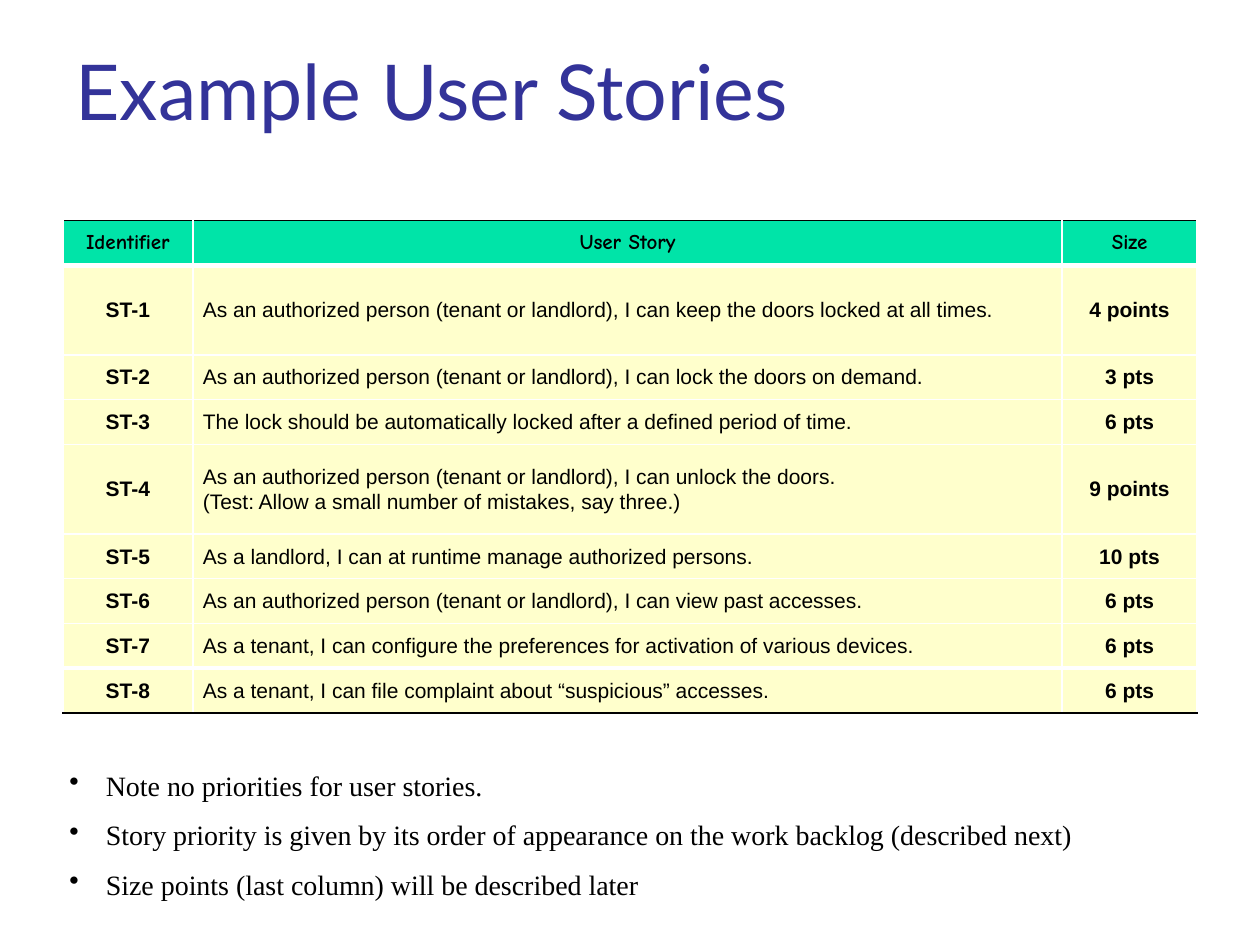
import dataclasses

import lxml.etree
import pptx
import pptx.dml.color
import pptx.enum.text
import pptx.oxml.ns
import pptx.util

Inches = pptx.util.Inches
Pt = pptx.util.Pt
Align = pptx.enum.text.PP_ALIGN
Anchor = pptx.enum.text.MSO_ANCHOR


@dataclasses.dataclass(frozen=True)
class Theme:
    """Colours, fonts and type sizes of the slide."""
    title_color: str = "333399"
    ink: str = "000000"
    rule: str = "FFFFFF"
    header_fill: str = "00E4A8"
    body_fill: str = "FFFFCC"
    title_font: str = "Lato"
    header_font: str = "Comic Neue"
    body_font: str = "Arial"
    remark_font: str = "Times New Roman"
    title_size: int = 44
    remark_size: int = 16
    table_size: int = 12


THEME = Theme()
HEADER = ("Identifier", "User Story", "Size")
STORIES = (
    ("As an authorized person (tenant or landlord), I can keep the doors locked at all times.", "4 points"),
    ("As an authorized person (tenant or landlord), I can lock the doors on demand.", "3 pts"),
    ("The lock should be automatically locked after a defined period of time.", "6 pts"),
    ("As an authorized person (tenant or landlord), I can unlock the doors.\n"
     "(Test: Allow a small number of mistakes, say three.)", "9 points"),
    ("As a landlord, I can at runtime manage authorized persons.", "10 pts"),
    ("As an authorized person (tenant or landlord), I can view past accesses.", "6 pts"),
    ("As a tenant, I can configure the preferences for activation of various devices.", "6 pts"),
    ("As a tenant, I can file complaint about “suspicious” accesses.", "6 pts"),
)
TALL_ROWS = (1, 4)
COLUMN_WIDTHS = (1.03, 6.9, 1.07)
REMARKS = (
    "Note no priorities for user stories.",
    "Story priority is given by its order of appearance on the work backlog (described next)",
    "Size points (last column) will be described later",
)


def apply_format(target, values):
    """Set each named attribute on the target."""
    for name, value in values.items():
        setattr(target, name, value)


def write_text(paragraph, text, color, paragraph_format=None, **font_format):
    """Write text into a paragraph and format it."""
    paragraph.text = text
    apply_format(paragraph, paragraph_format or {})
    for run in paragraph.runs:
        apply_format(run.font, font_format)
        run.font.color.rgb = pptx.dml.color.RGBColor.from_string(color)


def add_element(parent, tag, **attributes):
    """Append a drawing element to its parent."""
    return lxml.etree.SubElement(parent, pptx.oxml.ns.qn(tag), attributes)


def add_border(cell, side, color, width):
    """Draw one border of a table cell."""
    properties = cell._tc.get_or_add_tcPr()
    line = add_element(properties, f"a:ln{side}", w=str(Pt(width)))
    add_element(add_element(line, "a:solidFill"), "a:srgbClr", val=color)


def add_title(slide, left, top, width, height):
    """Place the slide title in the given box."""
    frame = slide.shapes.add_textbox(left, top, width, height).text_frame
    frame.word_wrap = True
    write_text(frame.paragraphs[0], "Example User Stories", THEME.title_color,
               name=THEME.title_font, size=Pt(THEME.title_size))


def horizontal_rule(index, row_count):
    """Return colour and width of the rule above the row of that index."""
    if index in (0, row_count):
        return THEME.ink, 1
    return THEME.rule, 3 if index in (1, row_count - 1) else 1


def format_cell(cell, text, row, column, row_count):
    """Fill, border and write one cell of the story table."""
    is_header = row == 0
    is_story = column == 1 and not is_header
    margin = Inches(0.02 if is_header and column == 0 else 0.08)
    apply_format(cell, {
        "margin_left": margin, "margin_right": margin,
        "margin_top": 0, "margin_bottom": 0,
        "vertical_anchor": Anchor.MIDDLE,
    })
    borders = {
        "L": (THEME.rule, 1),
        "R": (THEME.rule, 1),
        "T": horizontal_rule(row, row_count),
        "B": horizontal_rule(row + 1, row_count),
    }
    for side, (color, width) in borders.items():
        add_border(cell, side, color, width)
    cell.fill.solid()
    cell.fill.fore_color.rgb = pptx.dml.color.RGBColor.from_string(
        THEME.header_fill if is_header else THEME.body_fill)
    paragraph_format = {
        "alignment": Align.LEFT if is_story else Align.CENTER,
        "line_spacing": Pt(14), "space_before": Pt(2), "space_after": Pt(2),
    }
    write_text(cell.text_frame.paragraphs[0], text, THEME.ink, paragraph_format,
               name=THEME.header_font if is_header else THEME.body_font,
               size=Pt(THEME.table_size), bold=not is_story)


def add_story_table(slide, left, top, width, height):
    """Place the table of user stories in the given box."""
    rows = [HEADER] + [(f"ST-{number}", *story) for number, story in enumerate(STORIES, 1)]
    table = slide.shapes.add_table(len(rows), len(HEADER), left, top, width, height).table
    table.horz_banding = False
    for column, share in zip(table.columns, COLUMN_WIDTHS):
        column.width = int(width * share / sum(COLUMN_WIDTHS))
    unit = height / (len(rows) + len(TALL_ROWS))
    for row, texts in enumerate(rows):
        table.rows[row].height = int(unit * (2 if row in TALL_ROWS else 1))
        for column, text in enumerate(texts):
            format_cell(table.cell(row, column), text, row, column, len(rows))


def add_remarks(slide, left, top, width, height):
    """Place the bulleted remarks in the given box."""
    frame = slide.shapes.add_textbox(left, top, width, height).text_frame
    apply_format(frame, {"margin_left": 0, "margin_right": 0, "margin_top": 0,
                         "margin_bottom": 0, "word_wrap": True})
    indent = Inches(0.29)
    for index, remark in enumerate(REMARKS):
        paragraph = frame.add_paragraph() if index else frame.paragraphs[0]
        write_text(paragraph, remark, THEME.ink, {"space_before": Pt(9 if index else 0)},
                   name=THEME.remark_font, size=Pt(THEME.remark_size))
        properties = paragraph._p.get_or_add_pPr()
        properties.set("marL", str(indent))
        properties.set("indent", str(-indent))
        add_element(properties, "a:buChar", char="•")


def main():
    """Build the slide and save it."""
    presentation = pptx.Presentation()
    presentation.slide_width = Inches(10)
    presentation.slide_height = Inches(7.5)
    slide = presentation.slides.add_slide(presentation.slide_layouts[6])
    add_title(slide, Inches(0.5), Inches(0.3), Inches(9), Inches(1.25))
    add_story_table(slide, Inches(0.5), Inches(1.75), Inches(9), Inches(3.91))
    add_remarks(slide, Inches(0.55), Inches(6.1), Inches(8.63), Inches(1.08))
    presentation.save("out.pptx")


if __name__ == "__main__":
    main()
